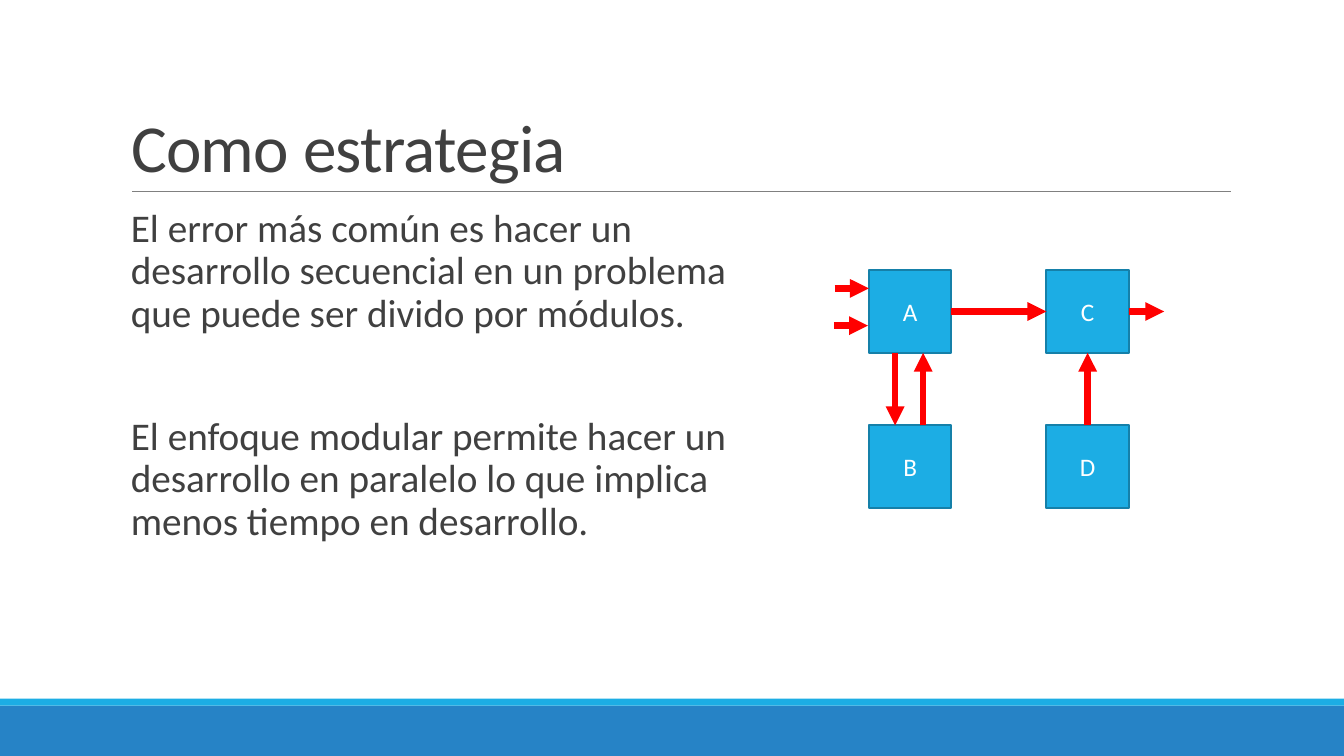
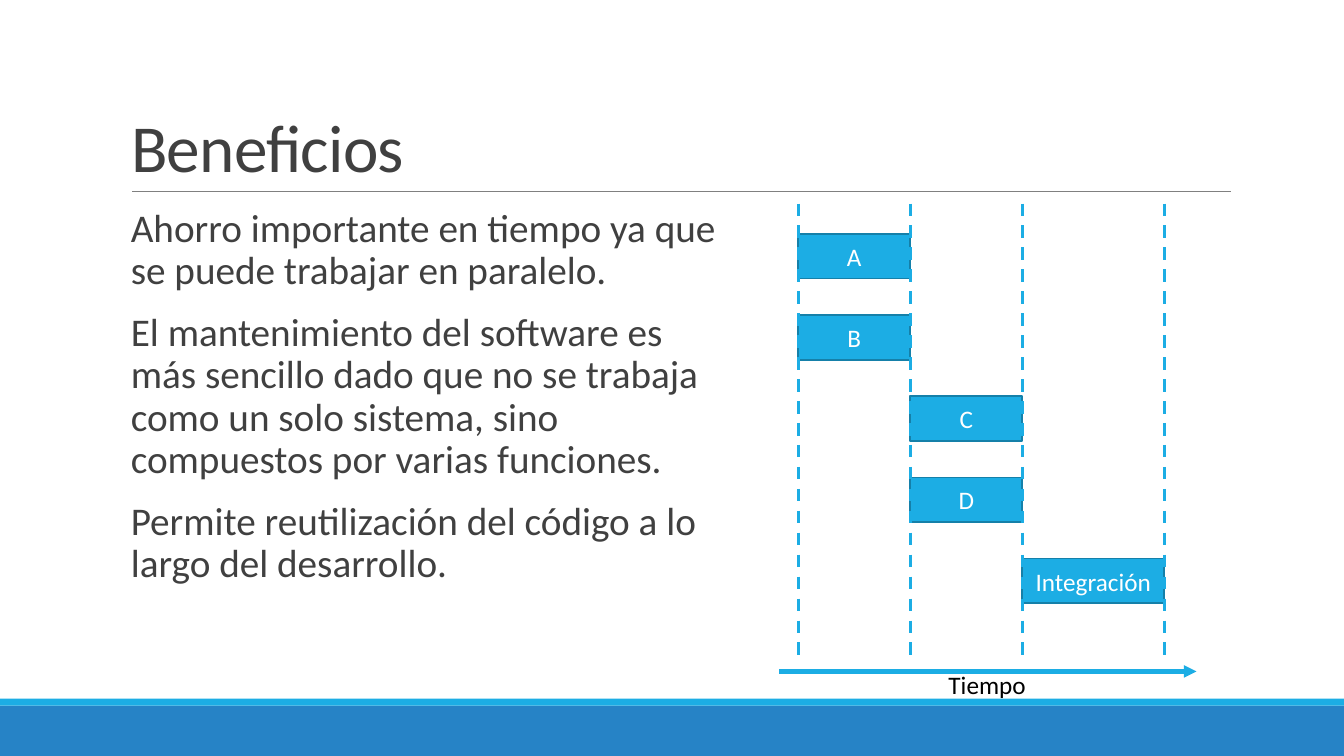
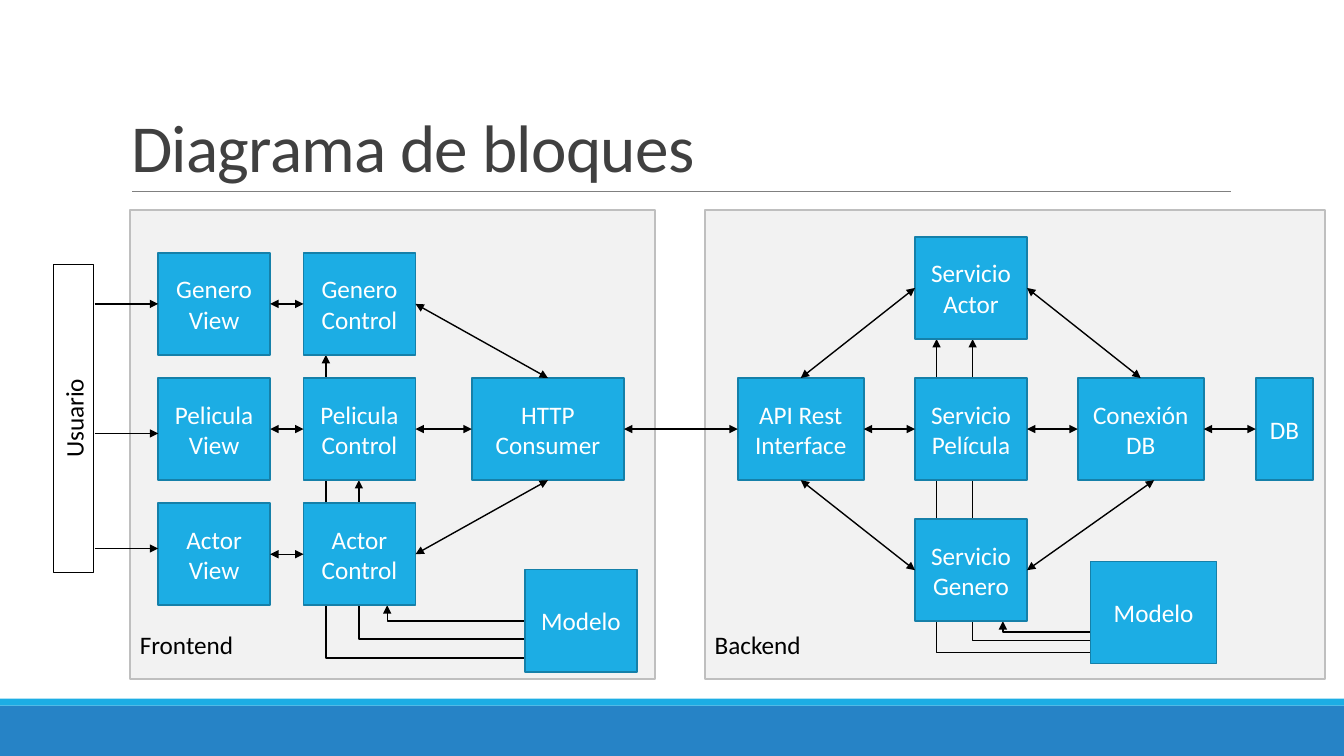
"""Three slides on modular development, with shared title, rule and bands."""
from dataclasses import dataclass
from typing import NamedTuple

from lxml import etree
from pptx import Presentation
from pptx.dml.color import RGBColor
from pptx.enum.dml import MSO_LINE
from pptx.enum.shapes import MSO_CONNECTOR, MSO_SHAPE
from pptx.enum.text import MSO_ANCHOR, MSO_AUTO_SIZE, PP_ALIGN
from pptx.oxml.ns import qn
from pptx.util import Pt

RECT = MSO_SHAPE.RECTANGLE
STRAIGHT, ELBOW = MSO_CONNECTOR.STRAIGHT, MSO_CONNECTOR.ELBOW
LEFT_ALIGN, CENTER = PP_ALIGN.LEFT, PP_ALIGN.CENTER
TOP_ANCHOR, MIDDLE, BOTTOM_ANCHOR = MSO_ANCHOR.TOP, MSO_ANCHOR.MIDDLE, MSO_ANCHOR.BOTTOM
DASH, NO_FIT = MSO_LINE.DASH, MSO_AUTO_SIZE.NONE
TOP, LEFT, BOTTOM, RIGHT = range(4)
TITLE_ONLY = 5


@dataclass(frozen=True)
class Theme:
    font: str = "Calibri"
    title_size: float = 48
    body_size: float = 28
    label_size: float = 18
    text: str = "404040"
    black: str = "000000"
    white: str = "FFFFFF"
    accent: str = "1CADE4"
    accent_edge: str = "1580A9"
    band: str = "2683C6"
    rule: str = "808080"
    signal: str = "FF0000"
    panel: str = "F2F2F2"
    panel_edge: str = "BFBFBF"


T = Theme()


class Point(NamedTuple):
    x: float
    y: float


class Joint(NamedTuple):
    shape: object
    side: int


class Style(NamedTuple):
    color: str
    width: float
    head: bool = False
    tail: bool = True
    dashed: bool = False


class Box(NamedTuple):
    text: str
    x: float
    y: float
    w: float
    h: float


class Para(NamedTuple):
    text: str
    before: float = 12


SIGNAL = Style(T.signal, 4.5)
ONE_WAY = Style(T.black, 1)
TWO_WAY = Style(T.black, 1, head=True)
MILESTONE = Style(T.accent, 2.25, tail=False, dashed=True)
TIMELINE = Style(T.accent, 3)
RULE = Style(T.rule, 0.5, tail=False)


def rgb(color: str) -> RGBColor:
    return RGBColor.from_string(color)


def add_run(p, text: str, size: float, color: str):
    r = p.add_run()
    r.text = text
    r.font.name, r.font.size = T.font, Pt(size)
    r.font.color.rgb = rgb(color)
    return r


def add_rect(s, box: Box, fill: str | None, edge: str | None = None,
             width: float = 1.25, color: str = T.white):
    """Draw a rectangle with one centred paragraph per line of its text."""
    sp = s.shapes.add_shape(RECT, Pt(box.x), Pt(box.y), Pt(box.w), Pt(box.h))
    sp.shadow.inherit = False
    if fill:
        sp.fill.solid()
        sp.fill.fore_color.rgb = rgb(fill)
    else:
        sp.fill.background()
    if edge:
        sp.line.color.rgb = rgb(edge)
        sp.line.width = Pt(width)
    else:
        sp.line.fill.background()
    tf = sp.text_frame
    tf.word_wrap, tf.vertical_anchor = True, MIDDLE
    for i, line in enumerate(box.text.split("\n") if box.text else ()):
        p = tf.add_paragraph() if i else tf.paragraphs[0]
        p.alignment = CENTER
        add_run(p, line, T.label_size, color)
    return sp


def add_block(s, box: Box):
    return add_rect(s, box, T.accent, T.accent_edge)


def add_panel(s, box: Box) -> None:
    """Draw a grey panel labelled at its lower left."""
    tf = add_rect(s, box, T.panel, T.panel_edge, color=T.black).text_frame
    tf.vertical_anchor, tf.margin_bottom = BOTTOM_ANCHOR, Pt(13.6)
    tf.paragraphs[0].alignment = LEFT_ALIGN


def place(end: Point | Joint) -> tuple[int, int]:
    """Return the slide position of a line end."""
    if isinstance(end, Point):
        return Pt(end.x), Pt(end.y)
    sp, side = end
    across = {LEFT: 0, RIGHT: sp.width}.get(side, sp.width // 2)
    down = {TOP: 0, BOTTOM: sp.height}.get(side, sp.height // 2)
    return sp.left + across, sp.top + down


def add_line(s, start: Point | Joint, end: Point | Joint, style: Style, kind=STRAIGHT):
    """Draw a line, joined to a shape at each end that is a Joint."""
    c = s.shapes.add_connector(kind, *place(start), *place(end))
    if isinstance(start, Joint):
        c.begin_connect(*start)
    if isinstance(end, Joint):
        c.end_connect(*end)
    c.line.color.rgb = rgb(style.color)
    c.line.width = Pt(style.width)
    if style.dashed:
        c.line.dash_style = DASH
    sp_pr = c.element.spPr
    ln = sp_pr.find(qn("a:ln"))
    for tag, shown in (("a:headEnd", style.head), ("a:tailEnd", style.tail)):
        if shown:
            etree.SubElement(ln, qn(tag)).set("type", "triangle")
    etree.SubElement(sp_pr, qn("a:effectLst"))
    return c


def add_corner(s, start: Point, end: Point) -> None:
    """Draw an arrow that runs level and then turns once towards its end."""
    c = add_line(s, start, end, ONE_WAY, ELBOW)
    c.element.spPr.find(qn("a:prstGeom")).set("prst", "bentConnector2")


def new_slide(prs, title: str):
    """Add a slide with the shared bands, rule and title."""
    s = prs.slides.add_slide(prs.slide_layouts[TITLE_ONLY])
    add_rect(s, Box("", 0, 504, 960, 36), T.band)
    add_rect(s, Box("", 0, 499, 960, 5), T.accent)
    add_line(s, Point(94.4, 136.8), Point(879, 136.8), RULE)
    sp = s.shapes.title
    sp.left, sp.top, sp.width, sp.height = Pt(86.4), Pt(22.4), Pt(792), Pt(114.4)
    tf = sp.text_frame
    tf.word_wrap, tf.auto_size, tf.vertical_anchor = True, NO_FIT, BOTTOM_ANCHOR
    p = tf.paragraphs[0]
    p.alignment, p.line_spacing = LEFT_ALIGN, 0.85
    r = add_run(p, title, T.title_size, T.text)
    r.font._element.set("spc", "-50")
    return s


def add_body(s, paras: list[Para]) -> None:
    sp = s.shapes.add_textbox(Pt(86.4), Pt(145.4), Pt(437), Pt(316.8))
    tf = sp.text_frame
    tf.word_wrap, tf.vertical_anchor = True, TOP_ANCHOR
    tf.margin_left, tf.margin_right = Pt(7.2), 0
    for i, para in enumerate(paras):
        p = tf.add_paragraph() if i else tf.paragraphs[0]
        p.line_spacing = 0.9
        p.space_before, p.space_after = Pt(para.before), Pt(2)
        add_run(p, para.text, T.body_size, T.text)


def strategy_slide(prs) -> None:
    s = new_slide(prs, "Como estrategia")
    add_body(s, [
        Para("El error más común es hacer un desarrollo secuencial en un problema "
             "que puede ser divido por módulos."),
        Para("El enfoque modular permite hacer un desarrollo en paralelo lo que "
             "implica menos tiempo en desarrollo.", before=56),
    ])
    size, left, right, upper, lower = 59, 620.6, 747.4, 193, 303.8
    a, c, _, d = [add_block(s, Box(name, x, y, size, size)) for name, x, y in (
        ("A", left, upper), ("C", right, upper), ("B", left, lower), ("D", right, lower))]
    foot = upper + size
    for start, end in (
        (Point(596.2, 206), Point(left, 206)),
        (Point(595.6, 232.6), Point(620, 232.6)),
        (Point(639.4, foot), Point(639.4, lower)),
        (Point(659.4, lower), Point(659.4, foot)),
        (Joint(a, RIGHT), Joint(c, LEFT)),
        (Joint(d, TOP), Joint(c, BOTTOM)),
        (Joint(c, RIGHT), Point(831.6, upper + size / 2)),
    ):
        add_line(s, start, end, SIGNAL)


def benefits_slide(prs) -> None:
    s = new_slide(prs, "Beneficios")
    add_body(s, [
        Para("Ahorro importante en tiempo ya que se puede trabajar en paralelo."),
        Para("El mantenimiento del software es más sencillo dado que no se trabaja "
             "como un solo sistema, sino compuestos por varias funciones."),
        Para("Permite reutilización del código a lo largo del desarrollo."),
    ])
    edges = (570.2, 650.2, 730.2, 831.6)
    tasks = (("A", 0), ("B", 0), ("C", 1), ("D", 1), ("Integración", 2))
    for row, (name, stage) in enumerate(tasks):
        x = edges[stage]
        add_block(s, Box(name, x, 167 + 58 * row, edges[stage + 1] - x, 32))
    for x in edges:
        add_line(s, Point(x, 145.4), Point(x, 469.4), MILESTONE)
    add_line(s, Point(556.6, 479.6), Point(854.6, 479.6), TIMELINE)
    sp = s.shapes.add_textbox(Pt(670.4), Pt(474.6), Pt(70.6), Pt(28.8))
    sp.text_frame.word_wrap = False
    add_run(sp.text_frame.paragraphs[0], "Tiempo", T.label_size, T.black)


def blocks_slide(prs) -> None:
    s = new_slide(prs, "Diagrama de bloques")
    add_panel(s, Box("Frontend", 92.8, 150, 375.2, 335))
    add_panel(s, Box("Backend", 503.4, 150, 443, 335))

    w, wide, h, middle = 80, 90, 73, 270
    view_x, control_x, service_x = 113, 216.8, 653.6
    topics = ("Genero", "Pelicula", "Actor")
    topic_rows = [middle + 89.4 * i for i in (-1, 0, 1)]
    service_rows = [middle + 100.8 * i for i in (-1, 0, 1)]
    control_feet = [y + h for y in topic_rows]
    service_feet = [y + h for y in service_rows]
    for start, end in (
        (Point(375, 470), Point(232.8, control_feet[0])),
        (Point(375, 456.6), Point(256.4, control_feet[1])),
        (Point(375, 443.6), Point(276.6, control_feet[2])),
        (Point(779, 466), Point(669, service_feet[0])),
        (Point(779, 457.6), Point(694.8, service_feet[0])),
        (Point(779, 451.4), Point(716.4, service_feet[2])),
    ):
        add_corner(s, start, end)

    views = [add_block(s, Box(f"{t}\nView", view_x, y, w, h))
             for t, y in zip(topics, topic_rows)]
    controls = [add_block(s, Box(f"{t}\nControl", control_x, y, w, h))
                for t, y in zip(topics, topic_rows)]
    services = [add_block(s, Box(f"Servicio\n{t}", service_x, y, w, h))
                for t, y in zip(("Actor", "Película", "Genero"), service_rows)]
    http, api, link, db, _, _ = [add_block(s, box) for box in (
        Box("HTTP Consumer", 337, middle, 108.8, h),
        Box("API Rest\nInterface", 527, middle, wide, h),
        Box("Conexión DB", 769.8, middle, wide, h),
        Box("DB", 897, middle, 41, h),
        Box("Modelo", 375, 406.8, w, h),
        Box("Modelo", 779, 401, wide, h),
    )]
    user = add_rect(s, Box("Usuario", -57.6, 284.4, 220.4, 28.8), None, T.black, 0.75, T.black)
    user.rotation = 270

    pairs = [(Joint(v, RIGHT), Joint(c, LEFT)) for v, c in zip(views, controls)]
    pairs += [(Joint(c, RIGHT), Joint(http, side))
              for c, side in zip(controls, (TOP, LEFT, BOTTOM))]
    pairs += [(Joint(api, side), Joint(sv, LEFT))
              for sv, side in zip(services, (TOP, RIGHT, BOTTOM))]
    link_ends = (Joint(link, TOP), Joint(link, LEFT), Point(824.4, middle + h))
    pairs += [(Joint(sv, RIGHT), end) for sv, end in zip(services, link_ends)]
    pairs += [(Joint(http, RIGHT), Joint(api, LEFT)), (Joint(link, RIGHT), Joint(db, LEFT))]
    for start, end in pairs:
        add_line(s, start, end, TWO_WAY)
    add_line(s, Point(67.6, topic_rows[0] + h / 2), Joint(views[0], LEFT), ONE_WAY)
    for y in (309.6, 391.8):
        add_line(s, Point(67.6, y), Point(view_x, y), ONE_WAY)


def main() -> None:
    prs = Presentation()
    prs.slide_width, prs.slide_height = Pt(960), Pt(540)
    strategy_slide(prs)
    benefits_slide(prs)
    blocks_slide(prs)
    prs.save("out.pptx")


if __name__ == "__main__":
    main()
